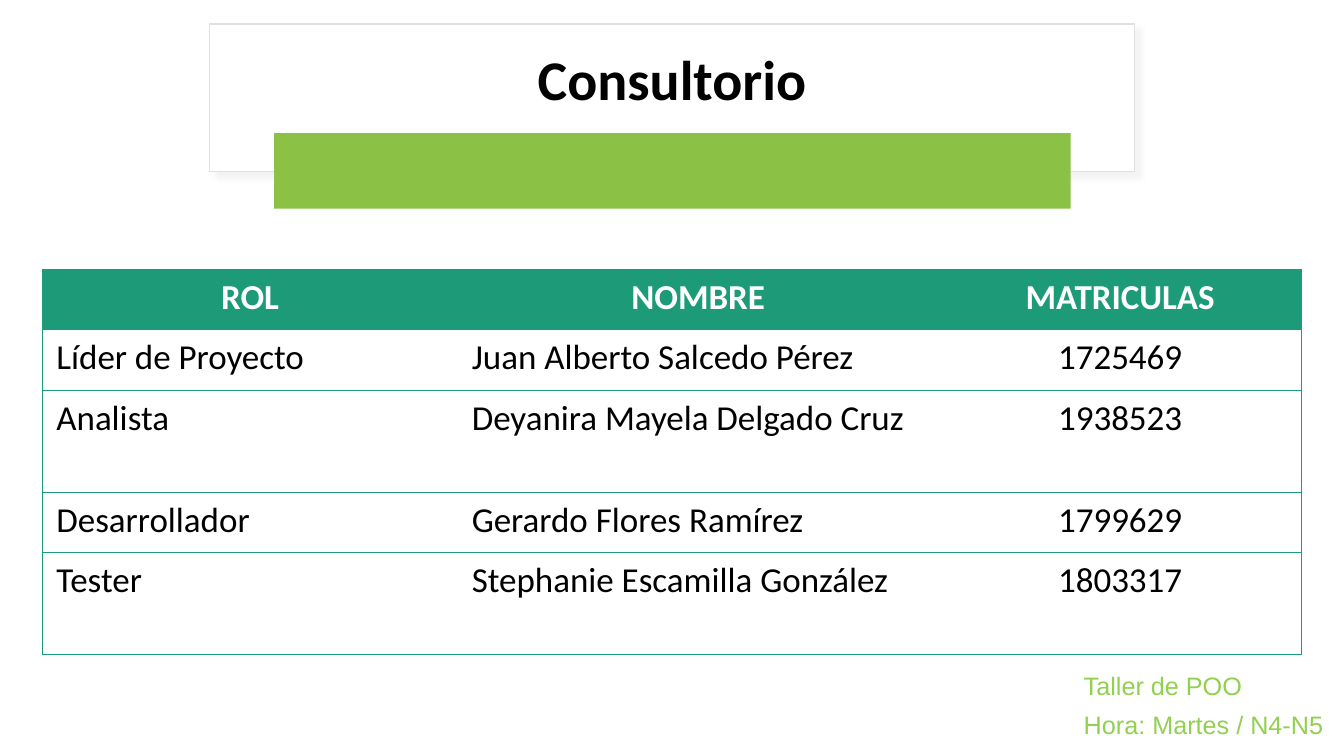
from lxml.etree import SubElement
from pptx import Presentation
from pptx.dml.color import RGBColor
from pptx.enum.shapes import MSO_SHAPE as Shape
from pptx.enum.text import MSO_ANCHOR as Anchor, PP_ALIGN as Align
from pptx.oxml.ns import qn
from pptx.util import Inches, Pt

WHITE = RGBColor(0xFF, 0xFF, 0xFF)
BLACK = RGBColor(0, 0, 0)
CARD_EDGE = RGBColor(0xE1, 0xE1, 0xE1)
CARD_SHADOW = RGBColor(0xC5, 0xC3, 0xC3)
BAND_GREEN = RGBColor(0x8B, 0xC1, 0x45)
NOTE_GREEN = RGBColor(0x92, 0xD0, 0x50)
TABLE_GREEN = RGBColor(0x1D, 0x9A, 0x78)

TEAM = [
    ("ROL", "NOMBRE", "MATRICULAS"),
    ("Líder de Proyecto", "Juan Alberto Salcedo Pérez", "1725469"),
    ("Analista", "Deyanira Mayela Delgado Cruz", "1938523"),
    ("Desarrollador", "Gerardo Flores Ramírez", "1799629"),
    ("Tester", "Stephanie Escamilla González", "1803317"),
]
COLUMN_WIDTHS = (4.12, 4.77, 3.6)
ROW_HEIGHTS = (0.6, 0.6, 1.01, 0.6, 1.01)


def apply(target, values):
    """Set each named attribute of the target."""
    for name, value in values.items():
        setattr(target, name, value)


def write(para, text, color, font, para_format):
    """Put one formatted run into a paragraph."""
    apply(para, para_format)
    span = para.add_run()
    span.text = text
    apply(span.font, font)
    span.font.color.rgb = color


def add_block(page, kind, place, fill, edge=None):
    """Add a filled shape with an optional thin outline."""
    block = page.shapes.add_shape(kind, *map(Inches, place))
    block.shadow.inherit = False
    block.fill.solid()
    block.fill.fore_color.rgb = fill
    if edge is None:
        block.line.fill.background()
    else:
        block.line.color.rgb = edge
        block.line.width = Pt(1)
    return block


def cast_shadow(block, color):
    """Give a shape a soft shadow towards the lower right."""
    effects = block.element.spPr.find(qn("a:effectLst"))
    shadow = SubElement(effects, qn("a:outerShdw"), blurRad=str(Pt(4)),
                        dist=str(Pt(5)), dir=str(45 * 60000), rotWithShape="0")
    tint = SubElement(shadow, qn("a:srgbClr"), val=str(color))
    SubElement(tint, qn("a:alpha"), val="20000")


def add_text(page, place, lines, color, font, para_format, frame_format):
    """Add a text box with one paragraph per line."""
    box = page.shapes.add_textbox(*map(Inches, place))
    frame = box.text_frame
    apply(frame, frame_format)
    for index, line in enumerate(lines):
        para = frame.add_paragraph() if index else frame.paragraphs[0]
        write(para, line, color, font, para_format)


def set_borders(cell, sides):
    """Draw thin green lines on the given sides and clear the others."""
    properties = cell._tc.get_or_add_tcPr()
    for side in "LRTB":
        line = SubElement(properties, qn(f"a:ln{side}"), w=str(Pt(0.5)))
        if side in sides:
            fill = SubElement(line, qn("a:solidFill"))
            SubElement(fill, qn("a:srgbClr"), val=str(TABLE_GREEN))
        else:
            SubElement(line, qn("a:noFill"))


def add_team_table(page, left, top):
    """Add the team table with a green header row."""
    size = (sum(COLUMN_WIDTHS), sum(ROW_HEIGHTS))
    table = page.shapes.add_table(len(TEAM), len(COLUMN_WIDTHS),
                                  *map(Inches, (left, top, *size))).table
    for column, width in zip(table.columns, COLUMN_WIDTHS):
        column.width = Inches(width)
    for row, height in zip(table.rows, ROW_HEIGHTS):
        row.height = Inches(height)
    margins = {"margin_left": Inches(0.14), "margin_right": Inches(0.14),
               "margin_top": Inches(0.07), "margin_bottom": Inches(0.07)}
    outer_sides = ("L", "", "R")
    for r, texts in enumerate(TEAM):
        header = r == 0
        for c, text in enumerate(texts):
            cell = table.cell(r, c)
            apply(cell, margins)
            set_borders(cell, "TB" + outer_sides[c])
            if header:
                cell.fill.solid()
                cell.fill.fore_color.rgb = TABLE_GREEN
            else:
                cell.fill.background()
            centred = header or c == 2
            write(cell.text_frame.paragraphs[0], text, WHITE if header else BLACK,
                  {"name": "Calibri", "size": Pt(25), "bold": header},
                  {"alignment": Align.CENTER if centred else Align.LEFT})


def main():
    """Build the team slide and save it."""
    deck = Presentation()
    apply(deck, {"slide_width": Inches(13.33), "slide_height": Inches(7.5)})
    page = deck.slides.add_slide(deck.slide_layouts[6])
    card = add_block(page, Shape.RECTANGLE, (2.08, 0.24, 9.17, 1.46), WHITE, CARD_EDGE)
    cast_shadow(card, CARD_SHADOW)
    add_text(page, (2.3, 0.34, 8.73, 0.95), ["Consultorio"], BLACK,
             {"name": "Calibri", "size": Pt(40), "bold": True},
             {"alignment": Align.CENTER, "line_spacing": 0.9, "space_after": Pt(6)},
             {"word_wrap": True, "vertical_anchor": Anchor.MIDDLE})
    band = add_block(page, Shape.ROUNDED_RECTANGLE, (2.72, 1.32, 7.9, 0.75), BAND_GREEN)
    band.adjustments[0] = 0
    add_text(page, (10.65, 6.6, 2.65, 0.85), ["Taller de POO", "Hora: Martes / N4-N5"],
             NOTE_GREEN, {"name": "Arial", "size": Pt(18)},
             {"alignment": Align.LEFT, "space_after": Pt(6)}, {"word_wrap": True})
    add_team_table(page, 0.42, 2.67)
    deck.save("out.pptx")


if __name__ == "__main__":
    main()
